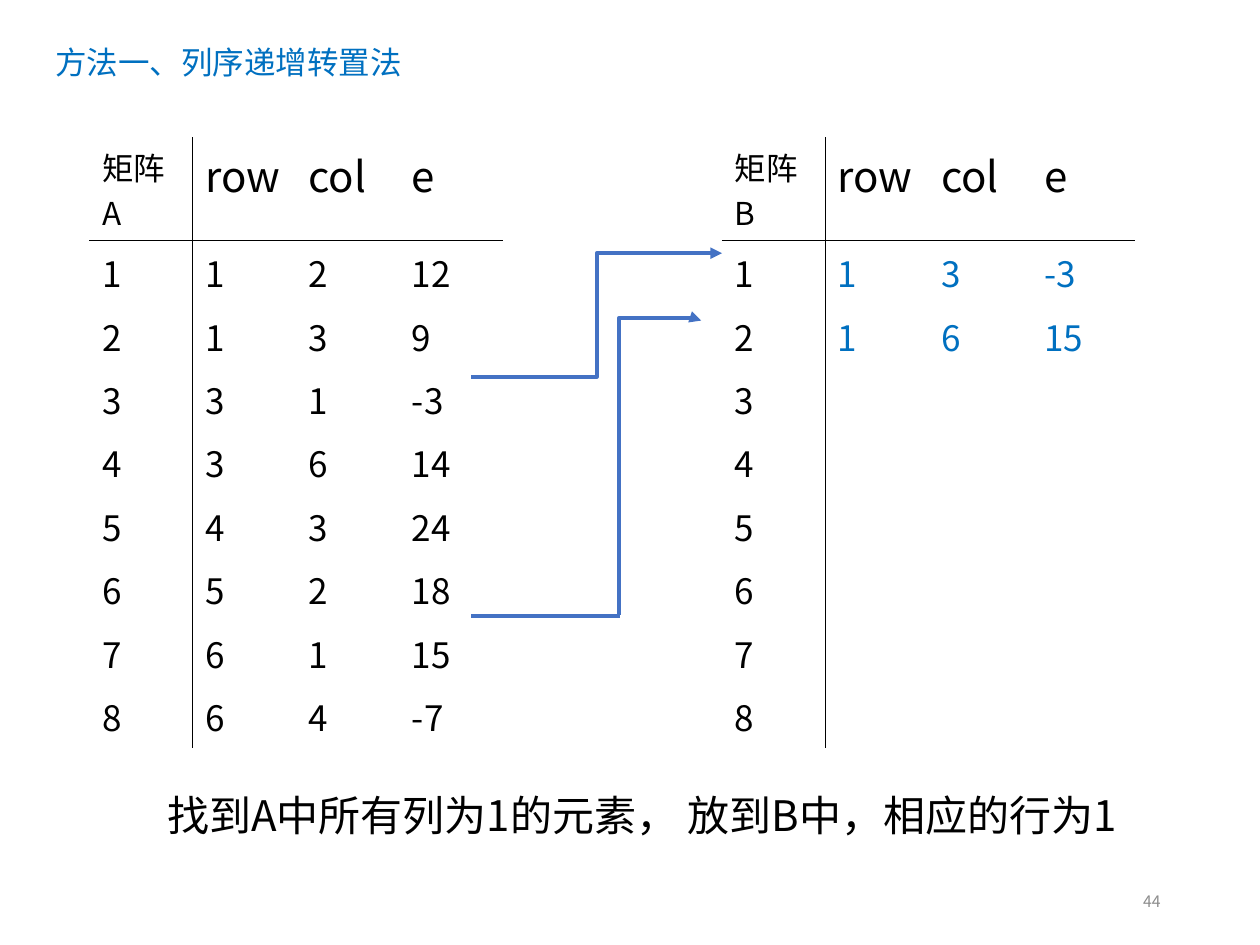
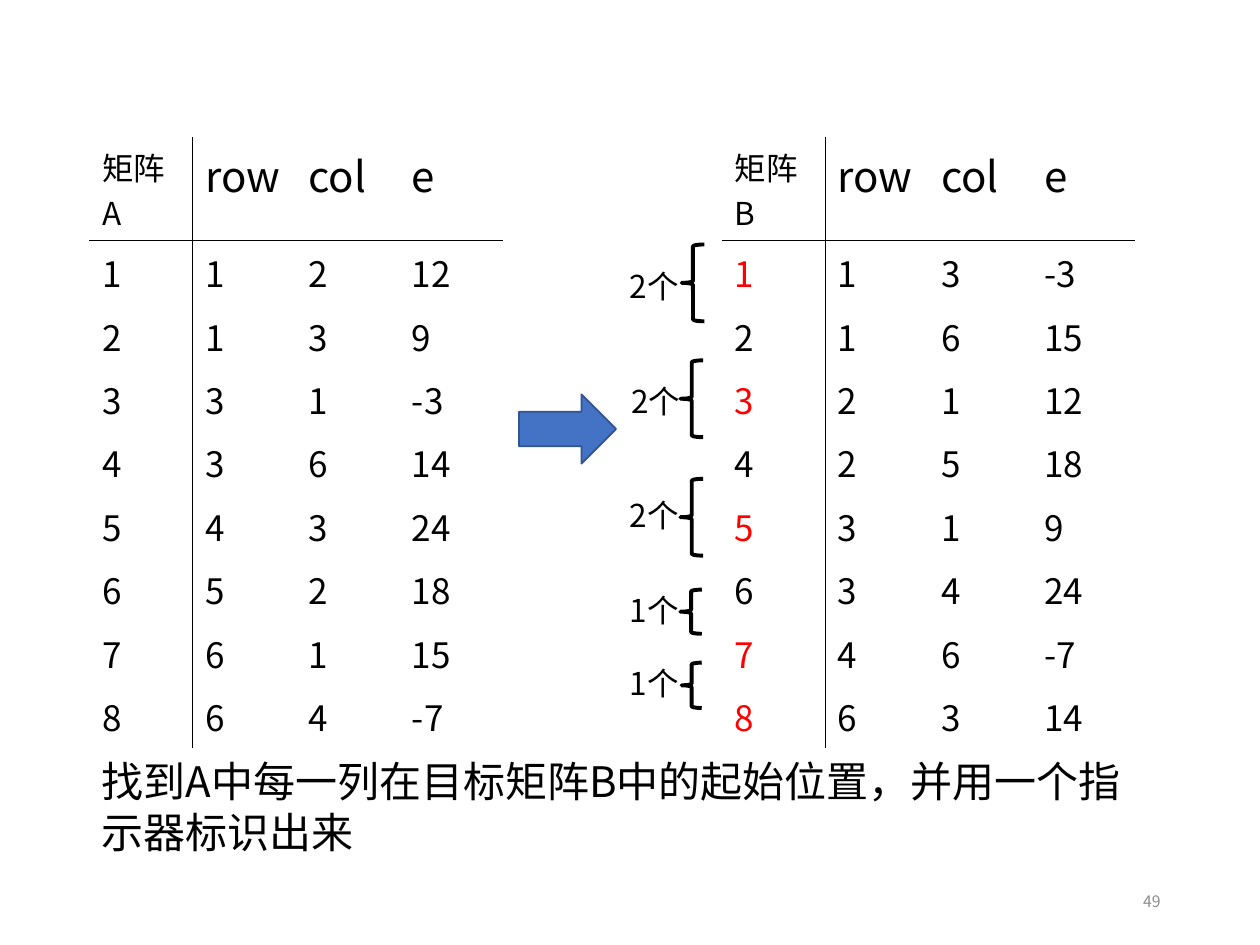
from collections import Counter

from lxml import etree
from pptx import Presentation
from pptx.dml.color import RGBColor
from pptx.enum.shapes import MSO_CONNECTOR, MSO_SHAPE
from pptx.enum.text import MSO_ANCHOR, PP_ALIGN
from pptx.oxml.ns import qn
from pptx.util import Inches, Pt

BLACK = RGBColor(0x00, 0x00, 0x00)
GRAY = RGBColor(0x8C, 0x8C, 0x8C)
BLUE = RGBColor(0x00, 0x70, 0xC0)
RED = RGBColor(0xFF, 0x00, 0x00)
ARROW = RGBColor(0x44, 0x72, 0xC4)
ARROW_EDGE = RGBColor(0x32, 0x54, 0x91)
FONT = "Noto Sans CJK SC"
NO_STYLE = "{2D5ABB26-0587-4C30-8999-92F81FD0307C}"

ELBOW, STRAIGHT = MSO_CONNECTOR.ELBOW, MSO_CONNECTOR.STRAIGHT
RIGHT_ARROW, LEFT_BRACE = MSO_SHAPE.RIGHT_ARROW, MSO_SHAPE.LEFT_BRACE
TOP, MIDDLE = MSO_ANCHOR.TOP, MSO_ANCHOR.MIDDLE
LEFT, RIGHT = PP_ALIGN.LEFT, PP_ALIGN.RIGHT

LEFT_A, LEFT_B = 0.71, 5.73
TABLE_TOP, COL_WIDTH = 1.09, 0.82
HEADER_HEIGHT, ROW_HEIGHT = 0.82, 4.53 / 9
MATRIX_A = [(1, 2, 12), (1, 3, 9), (3, 1, -3), (3, 6, 14),
            (4, 3, 24), (5, 2, 18), (6, 1, 15), (6, 4, -7)]
MATRIX_B = sorted((col, row, e) for row, col, e in MATRIX_A)
BRACES = [(5.41, 1.94, 0.18, 0.61), (5.4, 2.86, 0.18, 0.61), (5.4, 3.8, 0.18, 0.61),
          (5.4, 4.68, 0.17, 0.35), (5.41, 5.26, 0.16, 0.36)]
COUNT_SPOTS = [(4.9, 2.07), (4.91, 2.98), (4.9, 3.89), (4.9, 4.64), (4.9, 5.22)]


def write(p, text, size, color=BLACK):
    r = p.add_run()
    r.text = text
    for name, value in {"size": Pt(size), "name": FONT}.items():
        setattr(r.font, name, value)
    r.font.color.rgb = color
    etree.SubElement(r.font._element, qn("a:ea")).set("typeface", FONT)


def add_text(s, box, text, size, color=BLACK, align=LEFT, anchor=TOP, spacing=None):
    tf = s.shapes.add_textbox(*map(Inches, box)).text_frame
    tf.word_wrap = True
    tf.vertical_anchor = anchor
    p = tf.paragraphs[0]
    for name, value in {"alignment": align, "line_spacing": spacing}.items():
        setattr(p, name, value)
    write(p, text, size, color)


def set_borders(cell, ruled_sides):
    tcPr = cell._tc.get_or_add_tcPr()
    for index, side in enumerate("LRTB"):
        ln = etree.Element(qn(f"a:ln{side}"), w=str(Pt(1)))
        if side in ruled_sides:
            fill = etree.SubElement(ln, qn("a:solidFill"))
            etree.SubElement(fill, qn("a:srgbClr"), val=str(BLACK))
        else:
            etree.SubElement(ln, qn("a:noFill"))
        tcPr.insert(index, ln)


def add_matrix(s, left, name, entries, index_colors=(), entry_color=BLACK):
    rows, cols = len(MATRIX_A) + 1, 4
    height = HEADER_HEIGHT + len(MATRIX_A) * ROW_HEIGHT
    box = left, TABLE_TOP, cols * COL_WIDTH, height
    table = s.shapes.add_table(rows, cols, *map(Inches, box)).table
    table.first_row = table.horz_banding = False
    table._tbl.tblPr.find(qn("a:tableStyleId")).text = NO_STYLE
    for column in table.columns:
        column.width = Inches(COL_WIDTH)
    for i, row in enumerate(table.rows):
        row.height = Inches(ROW_HEIGHT if i else HEADER_HEIGHT)
        if i == 0:
            values = [f"矩阵{name}", "row", "col", "e"]
        else:
            values = [i, *(entries[i - 1] if i <= len(entries) else ("", "", ""))]
        for j, value in enumerate(values):
            cell = row.cells[j]
            cell.fill.background()
            set_borders(cell, {0: "R", 1: "L"}.get(j, "") + {0: "B", 1: "T"}.get(i, ""))
            p = cell.text_frame.paragraphs[0]
            if i == 0:
                write(p, value, 24 if j else 18)
            elif value == "":
                p.font.size = Pt(20)
            else:
                index_color = RED if i in index_colors else BLACK
                write(p, str(value), 20, entry_color if j else index_color)


def add_line(s, kind, start, end, arrow=True):
    line = s.shapes.add_connector(kind, *map(Inches, (*start, *end)))
    line.line.color.rgb = ARROW
    line.line.width = Pt(2.25)
    if arrow:
        etree.SubElement(line.line._get_or_add_ln(), qn("a:tailEnd"), type="triangle")
    etree.SubElement(line._element.spPr, qn("a:effectLst"))
    return line


def turn_elbow(line, degrees, bend):
    spPr = line._element.spPr
    spPr.find(qn("a:xfrm")).set("rot", str(degrees * 60000))
    guides = spPr.find(qn("a:prstGeom")).find(qn("a:avLst"))
    etree.SubElement(guides, qn("a:gd"), name="adj1", fmla=f"val {round(bend * 100000)}")


def add_shape(s, kind, box, line_color, line_width, fill=None):
    sp = s.shapes.add_shape(kind, *map(Inches, box))
    sp.shadow.inherit = False
    if fill is None:
        sp.fill.background()
    else:
        sp.fill.solid()
        sp.fill.fore_color.rgb = fill
    sp.line.color.rgb = line_color
    sp.line.width = Pt(line_width)


def add_slide(prs, number):
    s = prs.slides.add_slide(prs.slide_layouts[6])
    add_text(s, (7.06, 6.95, 2.25, 0.4), str(number), 9, GRAY, RIGHT, MIDDLE)
    add_matrix(s, LEFT_A, "A", MATRIX_A)
    return s


def add_column_order_slide(prs):
    s = add_slide(prs, 44)
    first_rows = [entry for entry in MATRIX_B if entry[0] == 1]
    add_matrix(s, LEFT_B, "B", first_rows, entry_color=BLUE)
    add_line(s, ELBOW, (3.74, 2.99), (5.73, 2.01))
    turn_elbow(add_line(s, ELBOW, (6.41, 4.04), (4.07, 3.39)), 90, 1.01)
    add_line(s, STRAIGHT, (3.74, 4.89), (4.92, 4.89), arrow=False)
    add_text(s, (1.23, 6.22, 7.78, 0.5), "找到A中所有列为1的元素， 放到B中，相应的行为1", 24)
    add_text(s, (0.34, 0.14, 5, 0.5), "方法一、列序递增转置法", 18, BLUE, spacing=1.5)


def add_start_position_slide(prs):
    s = add_slide(prs, 49)
    target_rows = [entry[0] for entry in MATRIX_B]
    counts = Counter(target_rows)
    starts = [target_rows.index(row) + 1 for row in counts]
    add_matrix(s, LEFT_B, "B", MATRIX_B, starts)
    add_shape(s, RIGHT_ARROW, (4.12, 3.13, 0.77, 0.55), ARROW_EDGE, 1, ARROW)
    add_text(s, (0.71, 5.95, 8.61, 0.91),
             "找到A中每一列在目标矩阵B中的起始位置，并用一个指示器标识出来", 24)
    for brace, spot, count in zip(BRACES, COUNT_SPOTS, counts.values()):
        add_shape(s, LEFT_BRACE, brace, BLACK, 2.25)
        add_text(s, (*spot, 0.59, 0.4), f"{count}个", 18)


def main():
    prs = Presentation()
    prs.slide_width, prs.slide_height = Inches(10), Inches(7.5)
    add_column_order_slide(prs)
    add_start_position_slide(prs)
    prs.save("out.pptx")


if __name__ == "__main__":
    main()
